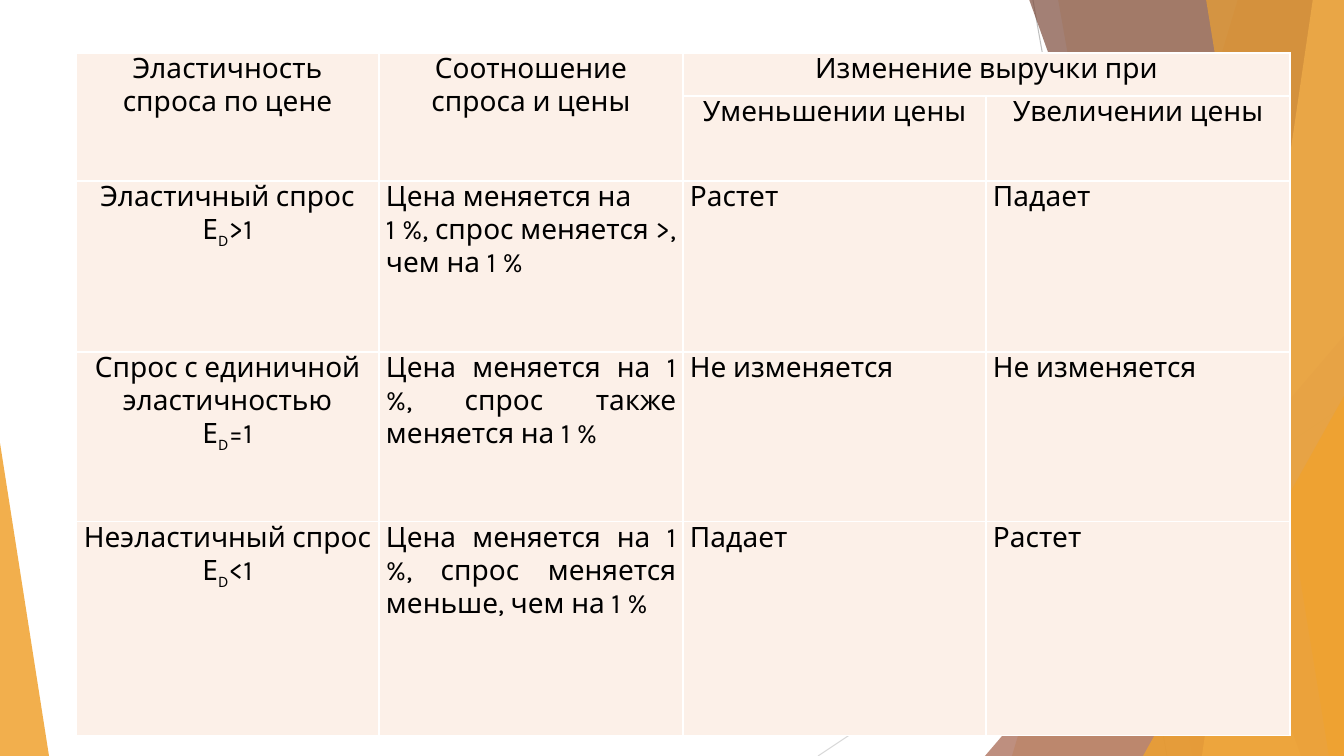
import pptx
import pptx.util
import pptx.dml.color
import pptx.enum.shapes
import pptx.enum.text
import pptx.oxml
import pptx.oxml.ns
import lxml.etree

RGB = pptx.dml.color.RGBColor
AMBER = RGB(0xF0, 0xA2, 0x2E)
SAND = RGB(0xF6, 0xC7, 0x82)
RUST = RGB(0xA5, 0x64, 0x4E)
BROWN = RGB(0x7C, 0x4B, 0x3B)
CREAM = RGB(0xFC, 0xF0, 0xE8)
GRAY = RGB(0xBF, 0xBF, 0xBF)
PALE = RGB(0xD9, 0xD9, 0xD9)
BLACK = RGB(0, 0, 0)
WHITE = RGB(0xFF, 0xFF, 0xFF)
ALIGN = pptx.enum.text.PP_ALIGN
KIND = pptx.enum.shapes.MSO_SHAPE
SCALE = 914400 / 100.8
WIDE, HIGH = 1344, 756

# Content: lines of a cell are split by \n, "_" sets the next letter as subscript
ROWS = [
    ["Эластичность спроса по цене", "Соотношение спроса и цены", "Изменение выручки при", None],
    [None, None, "Уменьшении цены", "Увеличении цены"],
    ["Эластичный спрос\nЕ_D>1", "Цена меняется на \n1 %, спрос меняется >, чем на 1 %",
     "Растет ", "Падает"],
    ["Спрос с единичной эластичностью\nЕ_D=1", "Цена меняется на 1 %, спрос также меняется на 1 %",
     "Не изменяется", "Не изменяется"],
    ["Неэластичный спрос\nЕ_D<1", "Цена меняется на 1 %, спрос меняется меньше, чем на 1 %",
     "Падает ", "Растет "],
]
MERGES = [((0, 0), (1, 0)), ((0, 1), (1, 1)), ((0, 2), (0, 3))]
HEADS = 2
COLS = [303, 304, 303, 304]
TALL = [43, 85, 171, 170, 214]
LEFT, TOP = 76, 53

# Backdrop, back to front
LINES = [((1033, 0), (1167, HIGH), GRAY), ((WIDE, 406), (818, HIGH), PALE)]
# Bands run to the right edge: top x, bottom x, colour, opacity.
# Wedges: left, top, width, height, apex, colour, opacity.
DECOR = [
    ("band", (1238, 1012), AMBER, 30),
    ("band", (1058, 1192), AMBER, 20),
    ("wedge", (985, 336, 359, 420, 1), RUST, 72),
    ("band", (1029, 1301), BROWN, 70),
    ("band", (1313, 1202), SAND, 70),
    ("band", (1206, 1329), AMBER, 65),
    ("wedge", (1143, 396, 201, 360, 1), AMBER, 80),
    ("wedge", (0, 443, 49, 313, 0), AMBER, 85),
]


def px(n):
    return pptx.util.Emu(round(n * SCALE))


def write(frame, text, size=20, font="Karla", color=BLACK, align=ALIGN.LEFT):
    for i, line in enumerate(text.split("\n")):
        para = frame.add_paragraph() if i else frame.paragraphs[0]
        para.alignment = align
        base, _, tail = line.partition("_")
        for part, low in ((base, False), (tail[:1], True), (tail[1:], False)):
            if not part:
                continue
            run = para.add_run()
            run.text = part
            run.font.size = pptx.util.Pt(size)
            run.font.name = font
            run.font.color.rgb = color
            if low:
                run.font._element.set("baseline", "-25000")


def paint(shape, color, alpha):
    shape.shadow.inherit = False
    shape.fill.solid()
    shape.fill.fore_color.rgb = color
    shape.line.fill.background()
    tone = shape.fill._xPr.find(".//" + pptx.oxml.ns.qn("a:srgbClr"))
    lxml.etree.SubElement(tone, pptx.oxml.ns.qn("a:alpha"), val=str(alpha * 1000))


def border(cell, color, width):
    props = cell._tc.get_or_add_tcPr()
    for i, side in enumerate("LRTB"):
        props.insert(i, pptx.oxml.parse_xml(
            f'<a:ln{side} {pptx.oxml.ns.nsdecls("a")} w="{pptx.util.Pt(width)}">'
            f'<a:solidFill><a:srgbClr val="{color}"/></a:solidFill></a:ln{side}>'))


deck = pptx.Presentation()
deck.slide_width, deck.slide_height = px(WIDE), px(HIGH)
slide = deck.slides.add_slide(deck.slide_layouts[6])
shapes = slide.shapes

# Thin lines
for start, end, color in LINES:
    line = shapes.add_connector(pptx.enum.shapes.MSO_CONNECTOR.STRAIGHT,
                                *map(px, start + end))
    line.line.color.rgb = color
    line.line.width = pptx.util.Pt(0.75)
    lxml.etree.SubElement(line._element.spPr, pptx.oxml.ns.qn("a:effectLst"))

# Bands and wedges
for kind, place, color, alpha in DECOR:
    if kind == "band":
        high, low = place
        pen = shapes.build_freeform(high, -1, scale=SCALE)
        pen.add_line_segments([(WIDE, -1), (WIDE, HIGH), (low, HIGH)], close=True)
        shape = pen.convert_to_shape()
    else:
        *box, apex = place
        shape = shapes.add_shape(KIND.ISOSCELES_TRIANGLE, *map(px, box))
        shape.adjustments[0] = apex
    paint(shape, color, alpha)

# Table
table = shapes.add_table(len(ROWS), len(COLS), px(LEFT), px(TOP),
                         px(sum(COLS)), px(sum(TALL))).table
for col, wide in zip(table.columns, COLS):
    col.width = px(wide)
for row, tall in zip(table.rows, TALL):
    row.height = px(tall)
for first, last in MERGES:
    table.cell(*first).merge(table.cell(*last))
for r, texts in enumerate(ROWS):
    for c, text in enumerate(texts):
        cell = table.cell(r, c)
        cell.fill.solid()
        cell.fill.fore_color.rgb = CREAM
        border(cell, WHITE, 1)
        if text is None:
            continue
        cell.margin_left = cell.margin_right = px(7)
        cell.margin_top = cell.margin_bottom = 0
        mid = r < HEADS or c == 0
        write(cell.text_frame, text, align=ALIGN.CENTER if mid else ALIGN.JUSTIFY)

deck.save("out.pptx")
